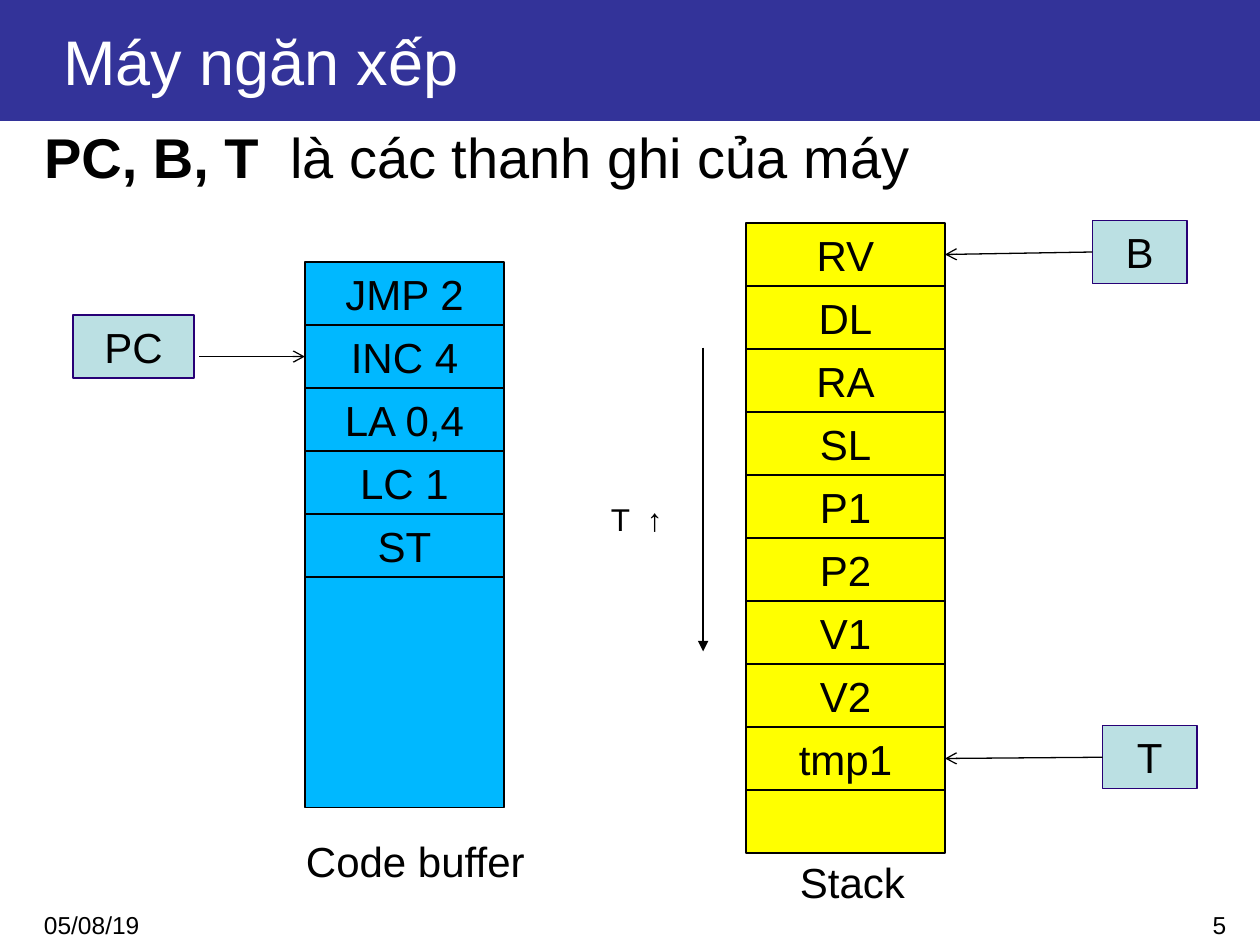
from lxml.etree import SubElement
from pptx import Presentation
from pptx.dml.color import RGBColor
from pptx.enum.shapes import MSO_CONNECTOR as CONNECTOR, MSO_SHAPE as SHAPE
from pptx.enum.text import MSO_ANCHOR as ANCHOR, MSO_AUTO_SIZE as AUTO, PP_ALIGN as ALIGN
from pptx.oxml.ns import qn
from pptx.util import Inches, Pt

COLORS = {"banner": "333399", "code": "00B8FF", "stack": "FFFF00", "register": "BBE0E3",
          "register_edge": "270076", "ink": "000000", "paper": "FFFFFF"}
CODE = ["JMP 2", "INC 4", "LA 0,4", "LC 1", "ST"]
STACK = ["RV", "DL", "RA", "SL", "P1", "P2", "V1", "V2", "tmp1", ""]
ROW = 0.5
COLUMN_WIDTH = 1.58


def rgb(name):
    """Look up a palette colour."""
    return RGBColor.from_string(COLORS[name])


def place(part, left, top, width, height):
    """Move a part to a box given in inches."""
    part.left, part.top = Inches(left), Inches(top)
    part.width, part.height = Inches(width), Inches(height)


def style(paragraph, size, align=ALIGN.LEFT, color="ink"):
    """Give a paragraph its font, size, alignment and colour."""
    paragraph.alignment = align
    font = paragraph.font
    font.name, font.size = "Arial", Pt(size)
    font.color.rgb = rgb(color)


def add_banner(slide, left, top, width, height):
    """Write the title on a filled band."""
    title = slide.shapes.title
    place(title, left, top, width, height)
    title.fill.solid()
    title.fill.fore_color.rgb = rgb("banner")
    frame = title.text_frame
    frame.text = "Máy ngăn xếp"
    frame.auto_size = AUTO.NONE
    frame.vertical_anchor = ANCHOR.MIDDLE
    frame.margin_left = Inches(0.5)
    style(frame.paragraphs[0], 36, color="paper")


def add_statement(slide, left, top, width, height):
    """Write the line about the registers in the body placeholder."""
    body = slide.placeholders[1]
    place(body, left, top, width, height)
    frame = body.text_frame
    frame.auto_size = AUTO.NONE
    line = frame.paragraphs[0]
    properties = line._p.get_or_add_pPr()
    properties.set("marL", "0")
    properties.set("indent", "0")
    SubElement(properties, qn("a:buNone"))
    line.space_before = Pt(0)
    style(line, 32)
    registers = line.add_run()
    registers.text = "PC, B, T"
    registers.font.bold = True
    line.add_run().text = "  là các thanh ghi của máy"


def add_label(slide, text, size, left, top, width, height, align=ALIGN.LEFT, wrap=True):
    """Add a plain text box, which fits its text when it does not wrap."""
    label = slide.shapes.add_textbox(Inches(left), Inches(top), Inches(width), Inches(height))
    frame = label.text_frame
    frame.word_wrap = wrap
    frame.auto_size = AUTO.NONE if wrap else AUTO.SHAPE_TO_FIT_TEXT
    frame.text = text
    style(frame.paragraphs[0], size, align)


def add_cell(slide, text, fill, edge, left, top, width, height=ROW):
    """Add one outlined cell with centred text."""
    cell = slide.shapes.add_shape(SHAPE.RECTANGLE, Inches(left), Inches(top),
                                  Inches(width), Inches(height))
    cell.shadow.inherit = False
    cell.fill.solid()
    cell.fill.fore_color.rgb = rgb(fill)
    cell.line.color.rgb = rgb(edge)
    cell.line.width = Pt(0.75)
    if text:
        frame = cell.text_frame
        frame.vertical_anchor = ANCHOR.TOP
        frame.text = text
        style(frame.paragraphs[0], 24, ALIGN.CENTER)
    return cell


def add_column(slide, entries, fill, left, top, width):
    """Stack equal cells downwards and return them."""
    return [add_cell(slide, entry, fill, "ink", left, top + i * ROW, width)
            for i, entry in enumerate(entries)]


def add_register(slide, text, left, top, width):
    """Add a register box."""
    return add_cell(slide, text, "register", "register_edge", left, top, width)


def add_arrow(slide, start, end, head="arrow"):
    """Add a thin line with a head at its end."""
    arrow = slide.shapes.add_connector(CONNECTOR.STRAIGHT, *map(Inches, start + end))
    arrow.line.color.rgb = rgb("ink")
    arrow.line.width = Pt(0.75)
    SubElement(arrow.line._get_or_add_ln(), qn("a:tailEnd"), type=head)
    SubElement(arrow._element.spPr, qn("a:effectLst"))
    return arrow


def add_code_buffer(slide, left, top):
    """Draw the code buffer with the PC register pointing into it."""
    cells = add_column(slide, CODE, "code", left, top, COLUMN_WIDTH)
    add_cell(slide, "", "code", "ink", left, top + len(CODE) * ROW, COLUMN_WIDTH, 1.83)
    add_register(slide, "PC", left - 1.84, top + 0.42, 0.96)
    level = top + 1.5 * ROW
    pointer = add_arrow(slide, (left - 0.84, level), (left, level))
    pointer.end_connect(cells[1], 1)
    add_label(slide, "Code buffer", 24, left - 0.09, top + 4.5, 1.94, 0.5, wrap=False)


def add_stack(slide, left, top):
    """Draw the stack with its B and T registers and growth arrow."""
    cells = dict(zip(STACK, add_column(slide, STACK, "stack", left, top, COLUMN_WIDTH)))
    right = left + COLUMN_WIDTH
    for text, target, x, y in (("B", "RV", 2.75, -0.02), ("T", "tmp1", 2.83, 3.99)):
        register = add_register(slide, text, left + x, top + y, 0.75)
        level = top + y + ROW / 2
        pointer = add_arrow(slide, (left + x, level), (right, level))
        pointer.begin_connect(register, 1)
        pointer.end_connect(cells[target], 3)
    add_arrow(slide, (left - 0.34, top + 0.99), (left - 0.34, top + 3.4), "triangle")
    add_label(slide, "T  ↑", 18, left - 1.17, top + 2.15, 0.66, 0.4)
    add_label(slide, "Stack", 24, left + 0.33, top + 4.98, 1.05, 0.5, wrap=False)


def add_footer(slide, top):
    """Write the date and the slide number."""
    add_label(slide, "05/08/19", 14, 0.25, top, 1.92, 0.33)
    add_label(slide, "5", 14, 7.75, top, 2.08, 0.24, ALIGN.RIGHT)


def main():
    """Build and save the slide."""
    deck = Presentation()
    deck.slide_width, deck.slide_height = Inches(10), Inches(7.5)
    slide = deck.slides.add_slide(deck.slide_layouts[1])
    add_footer(slide, 7.17)
    add_banner(slide, 0, 0, 10, 0.96)
    add_code_buffer(slide, 2.42, 2.08)
    add_stack(slide, 5.92, 1.77)
    add_statement(slide, 0.25, 0.92, 8.92, 0.64)
    deck.save("out.pptx")


if __name__ == "__main__":
    main()
